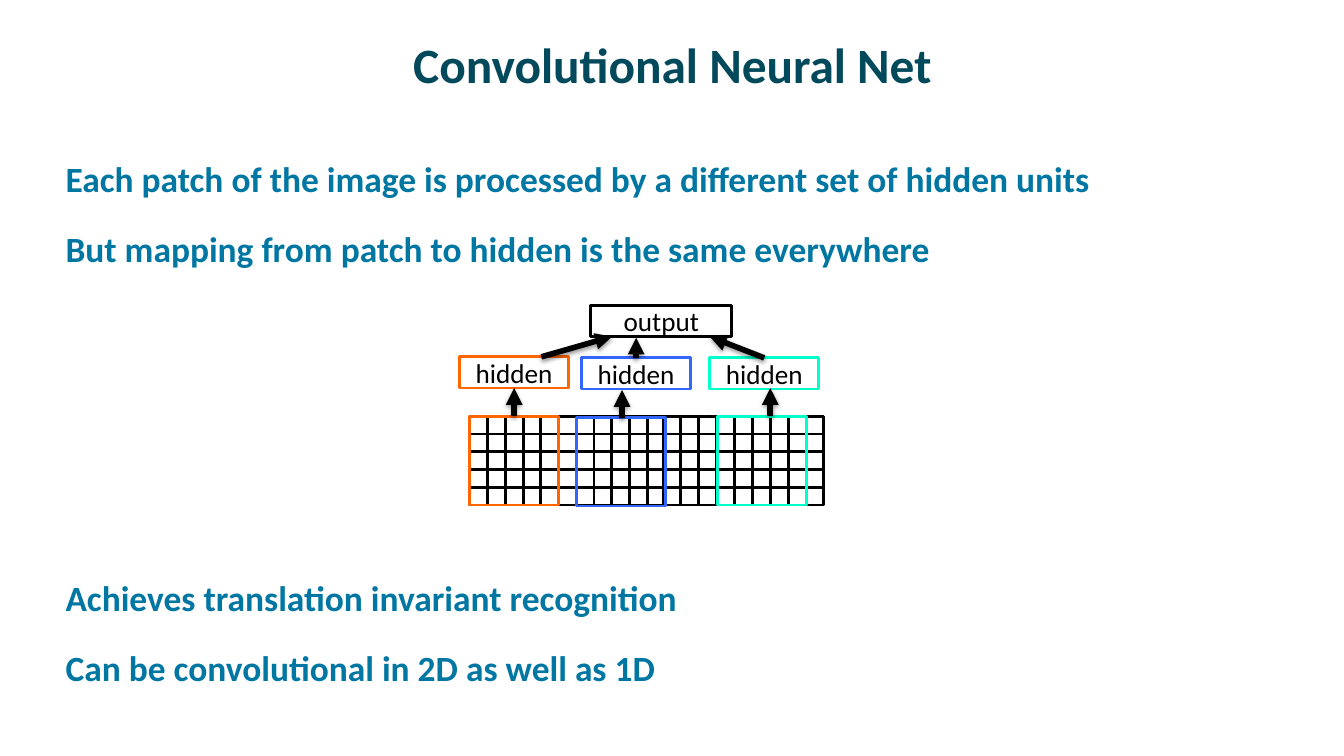
import pptx
import pptx.util
import pptx.dml.color
import pptx.enum.shapes
import pptx.enum.text
import pptx.oxml

Inches = pptx.util.Inches
Pt = pptx.util.Pt
PP_ALIGN = pptx.enum.text.PP_ALIGN
MIDDLE = pptx.enum.text.MSO_ANCHOR.MIDDLE
RECT = pptx.enum.shapes.MSO_SHAPE.RECTANGLE
STRAIGHT = pptx.enum.shapes.MSO_CONNECTOR.STRAIGHT
COLORS = {
    "title": "03495C", "body": "0076A3", "black": "000000", "white": "FFFFFF",
    "orange": "FF6600", "blue": "3366FF", "teal": "00FFCA",
}
RGB = {name: pptx.dml.color.RGBColor.from_string(c) for name, c in COLORS.items()}
NS = 'xmlns:a="http://schemas.openxmlformats.org/drawingml/2006/main"'
SHADOW = (
    f'<a:effectLst {NS}><a:outerShdw blurRad="{Pt(3.1)}" dist="{Pt(1.6)}" dir="5400000" rotWithShape="0">'
    f'<a:srgbClr val="{COLORS["black"]}"><a:alpha val="38000"/></a:srgbClr></a:outerShdw></a:effectLst>'
)


def add_rect(shapes, left, top, width, height, color, filled=True):
    sp = shapes.add_shape(RECT, Inches(left), Inches(top), Inches(width), Inches(height))
    sp.shadow.inherit = False
    if filled:
        sp.fill.solid()
        sp.fill.fore_color.rgb = RGB["white"]
    else:
        sp.fill.background()
    sp.line.color.rgb = RGB[color]
    sp.line.width = Pt(2)
    return sp


def add_text(tf, lines, size, color, bold, align):
    tf.word_wrap = True
    for i, text in enumerate(lines):
        p = tf.add_paragraph() if i else tf.paragraphs[0]
        p.alignment = align
        if i:
            p.space_before = Pt(19.5)
        r = p.add_run()
        r.text = text
        r.font.name = "Calibri"
        r.font.size = Pt(size)
        r.font.bold = bold
        r.font.color.rgb = RGB[color]


prs = pptx.Presentation()
prs.slide_width = Inches(13.33)
prs.slide_height = Inches(7.5)
s = prs.slides.add_slide(prs.slide_layouts[6])

title = s.shapes.add_textbox(Inches(0.67), Inches(0.17), Inches(12), Inches(0.92))
title.text_frame.vertical_anchor = MIDDLE
add_text(title.text_frame, ["Convolutional Neural Net"], 35.3, "title", True, PP_ALIGN.CENTER)

statements = [
    (1.5, ["Each patch of the image is processed by a different set of hidden units",
           "But mapping from patch to hidden is the same everywhere"]),
    (5.66, ["Achieves translation invariant recognition",
            "Can be convolutional in 2D as well as 1D"]),
]
for top, lines in statements:
    tb = s.shapes.add_textbox(Inches(0.54), Inches(top), Inches(12.12), Inches(1.25))
    tb.text_frame.margin_left = Inches(0.11)
    tb.text_frame.margin_top = Inches(0.06)
    add_text(tb.text_frame, lines, 25.3, "body", True, PP_ALIGN.LEFT)

patch_size = 0.88
cell = patch_size / 5
for left in (4.66, 6.4, 5.54, 7.29):
    block = s.shapes.add_group_shape()
    for row in range(5):
        for col in range(5):
            add_rect(block.shapes, left + col * cell, 4.13 + row * cell, cell, cell, "black")

patches = {}
for color, left, top in (("orange", 4.66, 4.13), ("blue", 5.72, 4.14), ("teal", 7.12, 4.13)):
    patches[color] = add_rect(s.shapes, left, top, patch_size, patch_size, color, filled=False)

units = {}
for label, color, left, top, width in (
    ("output", "black", 5.86, 3.03, 1.4),
    ("hidden", "orange", 4.56, 3.54, 1.08),
    ("hidden", "blue", 5.77, 3.55, 1.08),
    ("hidden", "teal", 7.04, 3.55, 1.08),
):
    sp = add_rect(s.shapes, left, top, width, 0.31, color)
    sp.text_frame.margin_top = sp.text_frame.margin_bottom = 0
    sp.text_frame.vertical_anchor = MIDDLE
    add_text(sp.text_frame, [label], 19.4, "black", False, PP_ALIGN.CENTER)
    units[color] = sp

arrows = [
    (5.37, 3.54, 6.07, 3.34, None, None),
    (6.31, 3.55, 6.31, 3.35, units["blue"], None),
    (7.58, 3.55, 7.04, 3.34, units["teal"], None),
    (5.1, 4.13, 5.1, 3.85, patches["orange"], units["orange"]),
    (6.17, 4.15, 6.17, 3.87, None, None),
    (7.64, 4.13, 7.64, 3.85, None, None),
]
for x1, y1, x2, y2, source, target in arrows:
    arrow = s.shapes.add_connector(STRAIGHT, Inches(x1), Inches(y1), Inches(x2), Inches(y2))
    if source:
        arrow.begin_connect(source, 0)
    if target:
        arrow.end_connect(target, 2)
    arrow.line.color.rgb = RGB["black"]
    arrow.line.width = Pt(4)
    arrow.line._get_or_add_ln().append(pptx.oxml.parse_xml(f'<a:tailEnd {NS} type="triangle"/>'))
    arrow._element.spPr.append(pptx.oxml.parse_xml(SHADOW))

prs.save("out.pptx")
